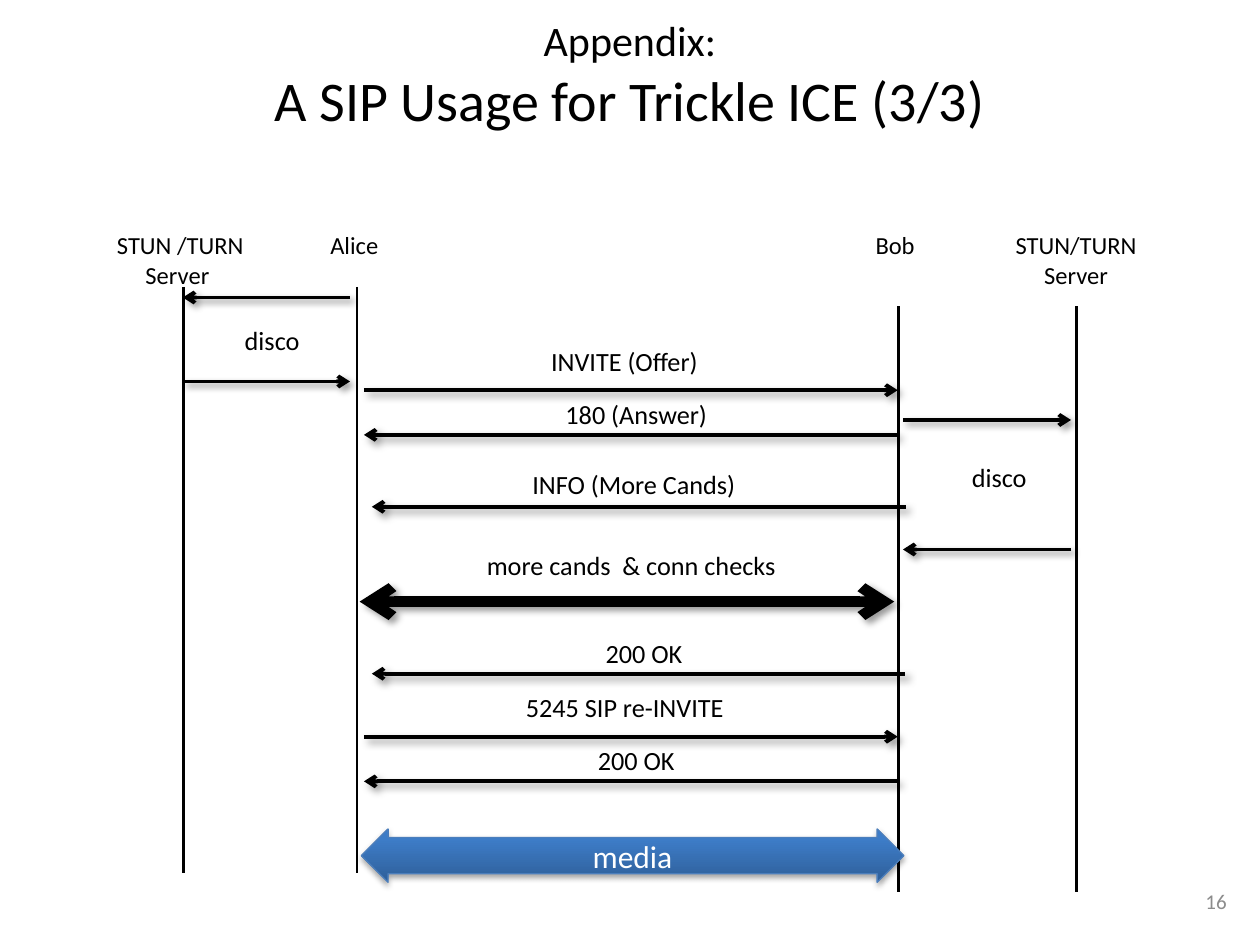
import pptx
import pptx.dml.color
import pptx.enum.shapes
import pptx.enum.text
import pptx.oxml
import pptx.oxml.ns
import pptx.util
from dataclasses import dataclass
from lxml import etree

Pt = pptx.util.Pt
Align = pptx.enum.text.PP_ALIGN
Anchor = pptx.enum.text.MSO_ANCHOR
Shapes = pptx.enum.shapes.MSO_SHAPE


@dataclass(frozen=True)
class Theme:
    font: str = "Calibri"
    ink: str = "000000"
    muted: str = "8C8C8C"
    light: str = "FFFFFF"
    media_line: str = "4B7EBC"
    media_stops: tuple = ((0, "2F5F99"), (80, "3D7CC7"), (100, "3A7CCB"))
    overline: float = 24
    title: float = 32
    media: float = 18
    message: float = 15
    party: float = 14
    number: float = 12


def color(value):
    return pptx.dml.color.RGBColor.from_string(value)


def drawing(tag, parent=None, **attributes):
    name = pptx.oxml.ns.qn("a:" + tag)
    values = {key: str(value) for key, value in attributes.items()}
    if parent is None:
        return etree.Element(name, values)
    return etree.SubElement(parent, name, values)


class SequenceDiagram:
    def __init__(self, presentation, theme):
        self.theme = theme
        self.slide = presentation.slides.add_slide(presentation.slide_layouts[6])

    def set_text(self, shape, runs, align, anchor, ink):
        """Put one paragraph of (text, size) lines into a shape."""
        frame = shape.text_frame
        for name, value in {"word_wrap": True, "vertical_anchor": anchor}.items():
            setattr(frame, name, value)
        paragraph = frame.paragraphs[0]
        paragraph.alignment = align
        for position, (text, size) in enumerate(runs):
            if position:
                paragraph.add_line_break()
            run = paragraph.add_run()
            run.text = text
            formats = {"name": self.theme.font, "size": Pt(size)}
            for name, value in formats.items():
                setattr(run.font, name, value)
            run.font.color.rgb = color(ink)

    def text(self, box, runs, align=Align.CENTER, anchor=Anchor.TOP, ink=None):
        shape = self.slide.shapes.add_textbox(*map(Pt, box))
        self.set_text(shape, runs, align, anchor, ink or self.theme.ink)

    def shadow(self, shape, alpha, blur, distance, angle):
        effects = drawing("effectLst", shape._element.spPr)
        outer = drawing("outerShdw", effects, blurRad=Pt(blur), dist=Pt(distance),
                        dir=angle * 60000, algn="ctr", rotWithShape=0)
        ink = drawing("srgbClr", outer, val=self.theme.ink)
        drawing("alpha", ink, val=alpha * 1000)

    def line(self, start, end, width=1.5):
        shape = self.slide.shapes.add_connector(
            pptx.enum.shapes.MSO_CONNECTOR.STRAIGHT, *map(Pt, start + end))
        shape.line.color.rgb = color(self.theme.ink)
        shape.line.width = Pt(width)
        return shape

    def lifeline(self, x, top):
        shape = self.line((x, top), (x, top + 335))
        drawing("effectLst", shape._element.spPr)

    def arrow(self, start, end, y, width=2.25, both=False):
        shape = self.line((start, y), (end, y), width)
        outline = shape._element.spPr.find(pptx.oxml.ns.qn("a:ln"))
        if both:
            drawing("headEnd", outline, type="arrow")
        drawing("tailEnd", outline, type="arrow")
        self.shadow(shape, 40, 4, 3, 45)

    def caption(self, text, center, top, width=314):
        self.text((center - width / 2, top, width, 25), [(text, self.theme.message)])

    def media_arrow(self, box, text):
        shape = self.slide.shapes.add_shape(Shapes.LEFT_RIGHT_ARROW, *map(Pt, box))
        shape.adjustments[0], shape.adjustments[1] = 0.68, 0.5
        shape.line.color.rgb = color(self.theme.media_line)
        shape.line.width = Pt(0.75)
        # Vertical gradient, dark at the bottom
        shape.fill.background()
        properties = shape._element.spPr
        gradient = drawing("gradFill", rotWithShape=1)
        stops = drawing("gsLst", gradient)
        for position, value in self.theme.media_stops:
            stop = drawing("gs", stops, pos=position * 1000)
            drawing("srgbClr", stop, val=value)
        drawing("lin", gradient, ang=270 * 60000, scaled=0)
        properties.replace(properties.find(pptx.oxml.ns.qn("a:noFill")), gradient)
        self.shadow(shape, 35, 3.1, 1.8, 90)
        self.set_text(shape, [(text, self.theme.media)], Align.CENTER,
                      Anchor.MIDDLE, self.theme.light)


def main():
    presentation = pptx.Presentation()
    presentation.slide_width, presentation.slide_height = Pt(720), Pt(540)
    theme = Theme()
    diagram = SequenceDiagram(presentation, theme)

    # Title and slide number
    diagram.text((36, 6, 648, 72),
                 [("Appendix:", theme.overline),
                  ("A SIP Usage for Trickle ICE (3/3)", theme.title)],
                 anchor=Anchor.MIDDLE)
    diagram.text((540, 500.5, 168, 29), [("16", theme.number)], Align.RIGHT,
                 Anchor.MIDDLE, theme.muted)

    # Parties: name lines, label left and width, lifeline x and top
    parties = [
        (["STUN /TURN", "Server "], 48, 110, 105, 164),
        (["Alice"], 165, 75, 204, 164),
        (["Bob"], 474, 75, 513.4, 175),
        (["STUN/TURN ", "Server "], 555, 123, 615, 175),
    ]
    for lines, left, width, x, top in parties:
        diagram.lifeline(x, top)
        diagram.text((left, 128, width, 36), [(line, theme.party) for line in lines])

    # Discovery: request start and end, its y, reply y, caption centre and top
    discoveries = [
        (200, 104.5, 170, 218, 155.5, 182),
        (516, 612, 240, 314, 571, 260),
    ]
    for start, end, request, reply, center, top in discoveries:
        diagram.arrow(start, end, request)
        diagram.arrow(end, start, reply)
        diagram.caption("disco", center, top, 131)

    # Messages: caption, its centre and top, arrow start, end and y
    messages = [
        ("INVITE (Offer)", 356.8, 193.7, 208, 513, 223),
        ("180 (Answer)", 363.6, 224, 513, 208, 248.5),
        ("INFO (More Cands)", 362.2, 264.3, 517.5, 212.5, 289.6),
        ("200 OK", 368, 360.7, 517, 212.5, 385),
        ("5245 SIP re-INVITE", 357, 391.7, 208, 513, 421),
        ("200 OK", 363.6, 422, 513, 208, 446.5),
    ]
    for text, center, top, start, end, y in messages:
        diagram.arrow(start, end, y)
        diagram.caption(text, center, top)

    # Connectivity checks and media, both ways
    diagram.arrow(205.5, 511, 343.8, width=6, both=True)
    diagram.caption("more cands  & conn checks", 360.7, 310.3)
    diagram.media_arrow((206.5, 473.7, 310, 30.5), "media")

    presentation.save("out.pptx")


if __name__ == "__main__":
    main()
